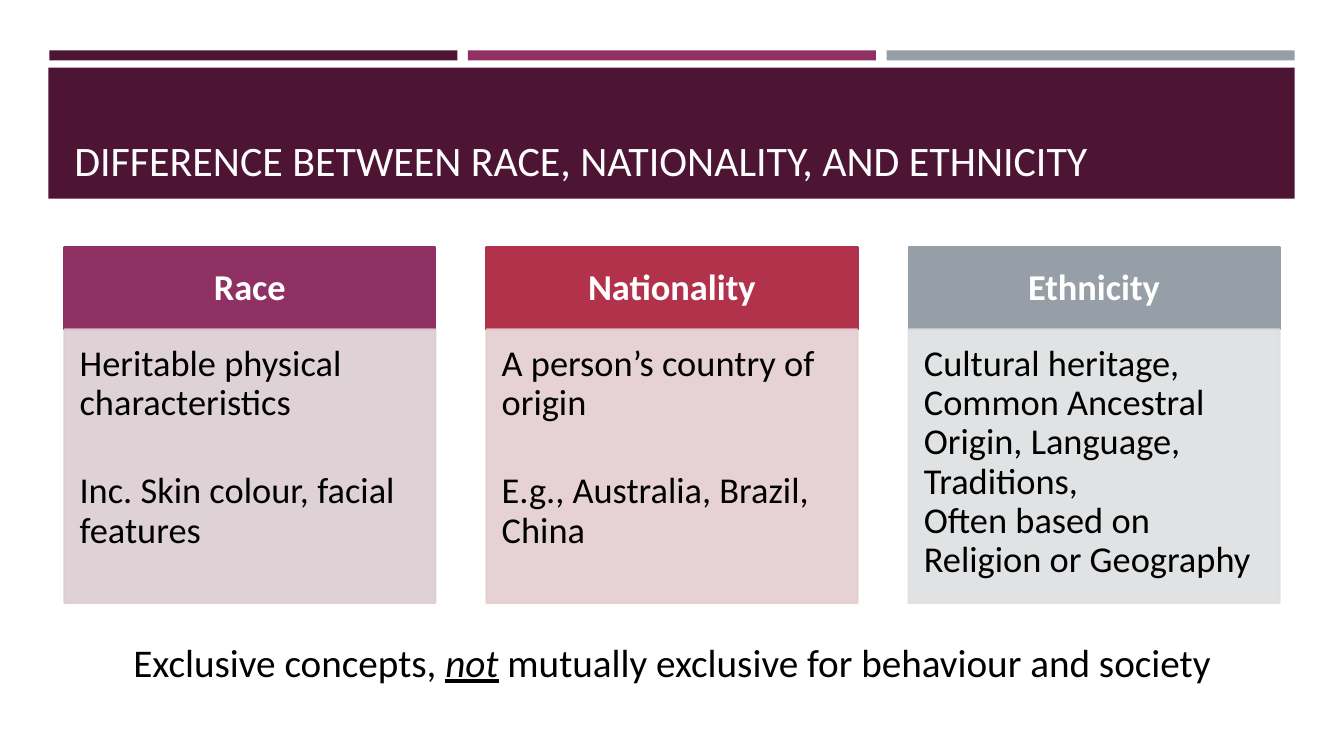
from lxml.etree import SubElement
from pptx import Presentation
from pptx.dml.color import RGBColor
from pptx.enum.shapes import MSO_SHAPE as SHAPE
from pptx.enum.text import MSO_ANCHOR as ANCHOR, PP_ALIGN as ALIGN
from pptx.oxml.ns import qn
from pptx.util import Inches, Pt

COLORS = {
    "plum": "4D1434", "magenta": "903163", "red": "B2324B", "grey": "969FA7",
    "pale_plum": "DBCED3", "pale_red": "E4CED0", "pale_grey": "DDDFE1",
    "title": "FFFEFF", "white": "FFFFFF", "black": "000000",
}
BARS = ["plum", "magenta", "grey"]
CARDS = [
    ("Race", "magenta", "pale_plum",
     ["Heritable physical characteristics", "Inc. Skin colour, facial features"]),
    ("Nationality", "red", "pale_red",
     ["A person’s country of origin", "E.g., Australia, Brazil, China"]),
    ("Ethnicity", "grey", "pale_grey",
     ["Cultural heritage, Common Ancestral Origin, Language, Traditions,\v"
      "Often based on Religion or Geography"]),
]


def rgb(name):
    return RGBColor.from_string(COLORS[name])


def set_alpha(fill_parent, percent):
    color = fill_parent.find(qn("a:solidFill"))[0]
    SubElement(color, qn("a:alpha")).set("val", str(percent * 1000))


def add_rect(s, box, color, outlined=False, alpha=None):
    sp = s.shapes.add_shape(SHAPE.RECTANGLE, *map(Inches, box))
    sp.shadow.inherit = False
    sp.fill.solid()
    sp.fill.fore_color.rgb = rgb(color)
    if outlined:
        sp.line.color.rgb = rgb(color)
        sp.line.width = Pt(1.75)
    else:
        sp.line.fill.background()
    if alpha:
        set_alpha(sp._element.spPr, alpha)
        set_alpha(sp._element.spPr.find(qn("a:ln")), alpha)
    return sp


def set_text(sp, paragraphs, size, color, insets=(0.1, 0.05, 0.1, 0.05),
             anchor=ANCHOR.TOP, align=ALIGN.LEFT, bold=False, spacing=1.0, gap=0):
    tf = sp.text_frame
    tf.word_wrap = True
    tf.vertical_anchor = anchor
    tf.margin_left, tf.margin_top, tf.margin_right, tf.margin_bottom = map(Inches, insets)
    tf.text = "\n".join(paragraphs)
    for i, p in enumerate(tf.paragraphs):
        p.alignment = align
        p.line_spacing = spacing
        p.space_before = Pt(gap if i else 0)
        for r in p.runs:
            r.font.name = "Calibri"
            r.font.size = Pt(size)
            r.font.bold = bold
            r.font.color.rgb = rgb(color)


def add_header(s):
    for i, color in enumerate(BARS):
        add_rect(s, (0.49 + i * 4.155, 0.5, 4.05, 0.1), color)
    add_rect(s, (0.48, 0.67, 12.37, 1.3), "plum")
    title = s.shapes.add_textbox(*map(Inches, (0.64, 0.77, 12.06, 1.11)))
    set_text(title, ["DIFFERENCE BETWEEN RACE, NATIONALITY, AND ETHNICITY"],
             30, "title", anchor=ANCHOR.BOTTOM)


def add_card(s, left, heading, color, pale, paragraphs):
    head = add_rect(s, (left, 2.45, 3.68, 0.82), color, outlined=True)
    set_text(head, [heading], 26, "white", (0.2, 0.12, 0.2, 0.12),
             ANCHOR.MIDDLE, ALIGN.CENTER, bold=True, spacing=0.9)
    body = add_rect(s, (left, 3.27, 3.68, 2.71), pale, outlined=True, alpha=90)
    set_text(body, paragraphs, 26, "black", (0.15, 0.15, 0.2, 0.23),
             spacing=0.9, gap=35)


def add_conclusion(s):
    box = s.shapes.add_textbox(*map(Inches, (0.64, 6.28, 12.06, 0.57)))
    p = box.text_frame.paragraphs[0]
    for text in ("Exclusive concepts, ", "not",
                 " mutually exclusive for behaviour and society"):
        r = p.add_run()
        r.text = text
    set_text(box, [], 28, "black", align=ALIGN.CENTER) if not p.runs else None
    box.text_frame.word_wrap = True
    p.alignment = ALIGN.CENTER
    for r in p.runs:
        r.font.name = "Calibri"
        r.font.size = Pt(28)
        r.font.color.rgb = rgb("black")
    p.runs[1].font.italic = True
    p.runs[1].font.underline = True


def main():
    prs = Presentation()
    prs.slide_width, prs.slide_height = Inches(13.34), Inches(7.5)
    s = prs.slides.add_slide(prs.slide_layouts[6])
    add_header(s)
    for i, card in enumerate(CARDS):
        add_card(s, 0.64 + i * 4.19, *card)
    add_conclusion(s)
    prs.save("out.pptx")


if __name__ == "__main__":
    main()
